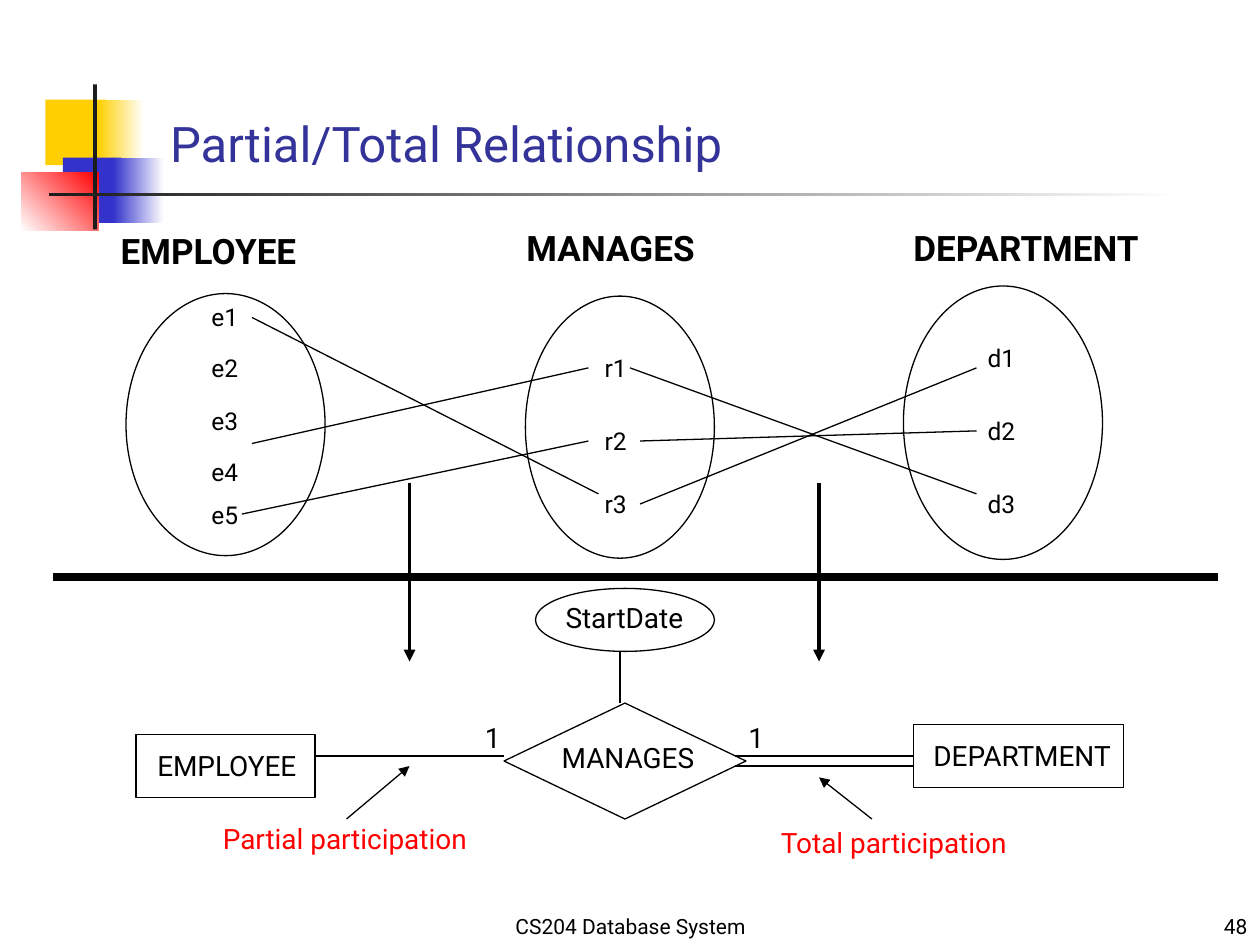
"""Build a slide on partial and total participation in a relationship."""
from pptx import Presentation
from pptx.dml.color import RGBColor
from pptx.enum.shapes import MSO_CONNECTOR, MSO_SHAPE as Shape
from pptx.enum.text import MSO_ANCHOR as Anchor, MSO_AUTO_SIZE as AutoSize, PP_ALIGN as Align
from pptx.oxml.ns import qn
from pptx.util import Inches, Pt
from lxml.etree import SubElement

THEME = {
    "font": "Roboto",
    "ink": "000000", "title": "333399", "note": "FF0000", "white": "FFFFFF",
    "yellow": "FFCF01", "blue": "3333CC", "red": "FF0000", "bar": "1C1C1C",
    "title_size": 28, "heading_size": 20, "label_size": 16, "member_size": 14, "footer_size": 12,
    "thin": 0.75, "bold": 2.25, "divider": 4.5,
}

TITLE = ("Partial/Total Relationship", (1.25, 0.75, 8.52, 0.67))

ORNAMENT = [
    ((0.36, 0.79, 0.48, 0.52), ("yellow",), 0),
    ((0.78, 0.79, 0.36, 0.52), ("yellow", "white"), 0),
    ((0.5, 1.25, 0.46, 0.52), ("blue",), 0),
    ((0.9, 1.25, 0.4, 0.52), ("blue", "white"), 0),
    ((0.17, 1.37, 0.61, 0.46), ("white", "red"), 45),
    ((0.74, 0.67, 0.03, 1.15), ("bar",), 0),
    ((0.39, 1.53, 9, 0.03), ("bar", "white"), 0),
]

FOOTERS = [
    ("CS204 Database System", (3.42, 7.08, 3.17, 0.42), Align.CENTER),
    ("48", (7.92, 7.08, 2.08, 0.42), Align.RIGHT),
]

ENTITY_SETS = [
    {"heading": ("EMPLOYEE", (0.86, 1.77, 1.66, 0.44)), "oval": (1, 2.33, 1.58, 2.08),
     "left": 1.58, "width": 0.42,
     "members": {"e1": 2.35, "e2": 2.75, "e3": 3.17, "e4": 3.58, "e5": 3.92}},
    {"heading": ("MANAGES", (4.08, 1.75, 1.58, 0.44)), "oval": (4.17, 2.35, 1.5, 2.08),
     "left": 4.7, "width": 0.39,
     "members": {"r1": 2.75, "r2": 3.33, "r3": 3.83}},
    {"heading": ("DEPARTMENT", (7.15, 1.75, 2.08, 0.44)), "oval": (7.17, 2.27, 1.58, 2.17),
     "left": 7.74, "width": 0.43,
     "members": {"d1": 2.67, "d2": 3.25, "d3": 3.83}},
]

MEMBER_LINKS = [
    ((2, 2.52), (4.75, 3.92)), ((2, 3.52), (4.67, 2.92)), ((1.92, 4.08), (4.67, 3.5)),
    ((5.08, 3.5), (7.75, 3.42)), ((5, 2.92), (7.75, 3.92)), ((5.08, 4), (7.75, 2.92)),
]

DIAGRAM_NODES = [
    (Shape.RECTANGLE, (1.08, 5.83, 1.42, 0.5), "EMPLOYEE", (1.15, 5.89, 1.37, 0.37)),
    (Shape.DIAMOND, (4, 5.58, 1.92, 0.92), "MANAGES", (4.36, 5.83, 1.26, 0.37)),
    (Shape.RECTANGLE, (7.25, 5.75, 1.67, 0.5), "DEPARTMENT", (7.31, 5.81, 1.64, 0.37)),
    (Shape.OVAL, (4.25, 4.67, 1.42, 0.5), "StartDate", (4.39, 4.72, 1.19, 0.37)),
]

DIAGRAM_LINKS = [
    ((4, 6), (2.5, 6)), ((4.92, 5.58), (4.92, 5.17)),
    ((5.83, 6), (7.25, 6)), ((5.83, 6.08), (7.25, 6.08)),
]

DIAGRAM_NOTES = [
    ("1", (3.75, 5.67, 0.32, 0.37), "ink"),
    ("1", (5.84, 5.67, 0.32, 0.37), "ink"),
    ("Partial participation", (1.67, 6.47, 2.25, 0.37), "note"),
    ("Total participation", (6.1, 6.5, 2.1, 0.37), "note"),
]

NOTE_ARROWS = [((6.92, 6.5), (6.5, 6.17)), ((2.75, 6.5), (3.25, 6.08))]
DIVIDER = ((0.42, 4.58), (9.67, 4.58))
DOWN_ARROW_LEFTS = (3.25, 6.5)
DOWN_ARROW_SPAN = (3.83, 5.25)


def color(name):
    return RGBColor.from_string(THEME[name])


def inches(box):
    return [Inches(length) for length in box]


def write(frame, text, *, size, ink="ink", bold=False, align=Align.LEFT, anchor=Anchor.TOP, wrap=False):
    frame.word_wrap = wrap
    frame.auto_size = AutoSize.NONE if wrap else AutoSize.SHAPE_TO_FIT_TEXT
    frame.vertical_anchor = anchor
    paragraph = frame.paragraphs[0]
    paragraph.alignment = align
    run = paragraph.add_run()
    run.text = text
    run.font.name = THEME["font"]
    run.font.size = Pt(THEME[size])
    run.font.bold = bold
    run.font.color.rgb = color(ink)


def add_label(slide, text, box, **style):
    write(slide.shapes.add_textbox(*inches(box)).text_frame, text, **style)


def add_outline(slide, kind, box):
    outline = slide.shapes.add_shape(kind, *inches(box))
    outline.shadow.inherit = False
    outline.fill.background()
    outline.line.color.rgb = color("ink")
    outline.line.width = Pt(THEME["thin"])


def add_ornament(slide, box, tints, angle):
    block = slide.shapes.add_shape(Shape.RECTANGLE, *inches(box))
    block.shadow.inherit = False
    block.line.fill.background()
    if len(tints) == 1:
        block.fill.solid()
        block.fill.fore_color.rgb = color(tints[0])
        return
    block.fill.gradient()
    block.fill.gradient_angle = angle
    for stop, tint in zip(block.fill.gradient_stops, tints):
        stop.color.rgb = color(tint)


def add_link(slide, start, end, weight="thin", arrow=False):
    link = slide.shapes.add_connector(MSO_CONNECTOR.STRAIGHT, *inches(start + end))
    link.line.color.rgb = color("ink")
    link.line.width = Pt(THEME[weight])
    if arrow:
        SubElement(link.line._get_or_add_ln(), qn("a:tailEnd"), type="triangle")
    SubElement(link._element.spPr, qn("a:effectLst"))


def main():
    deck = Presentation()
    deck.slide_width, deck.slide_height = Inches(10), Inches(7.5)
    slide = deck.slides.add_slide(deck.slide_layouts[5])

    for box, tints, angle in ORNAMENT:
        add_ornament(slide, box, tints, angle)
    for text, box, align in FOOTERS:
        add_label(slide, text, box, size="footer_size", align=align, anchor=Anchor.BOTTOM, wrap=True)

    text, box = TITLE
    title = slide.shapes.title
    title.left, title.top, title.width, title.height = inches(box)
    write(title.text_frame, text, size="title_size", ink="title", anchor=Anchor.BOTTOM, wrap=True)

    for entity_set in ENTITY_SETS:
        add_outline(slide, Shape.OVAL, entity_set["oval"])
        add_label(slide, *entity_set["heading"], size="heading_size", bold=True)
        for member, top in entity_set["members"].items():
            box = (entity_set["left"], top, entity_set["width"], 0.34)
            add_label(slide, member, box, size="member_size")

    for kind, outline_box, text, label_box in DIAGRAM_NODES:
        add_outline(slide, kind, outline_box)
        add_label(slide, text, label_box, size="label_size")
    for text, box, ink in DIAGRAM_NOTES:
        add_label(slide, text, box, size="label_size", ink=ink)

    for start, end in MEMBER_LINKS + DIAGRAM_LINKS:
        add_link(slide, start, end)
    for start, end in NOTE_ARROWS:
        add_link(slide, start, end, arrow=True)
    add_link(slide, *DIVIDER, weight="divider")
    top, bottom = DOWN_ARROW_SPAN
    for left in DOWN_ARROW_LEFTS:
        add_link(slide, (left, top), (left, bottom), weight="bold", arrow=True)

    deck.save("out.pptx")


if __name__ == "__main__":
    main()
